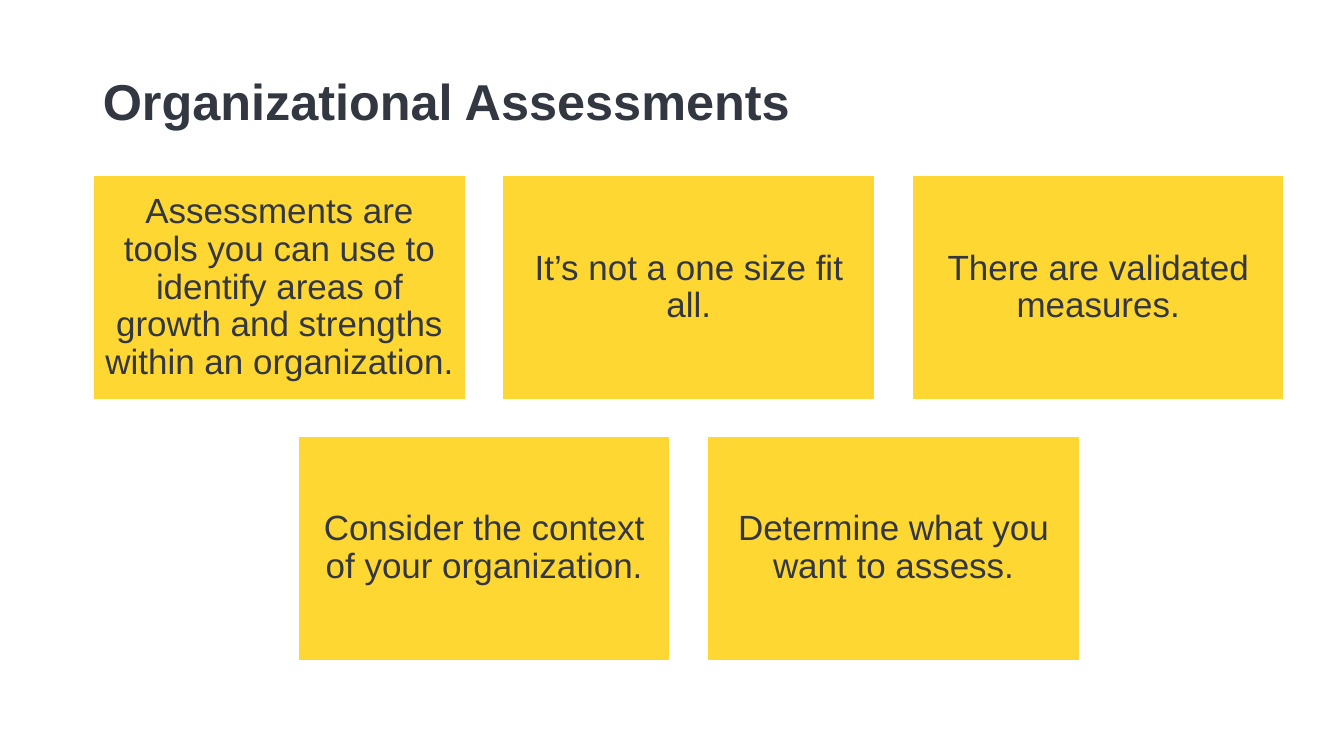
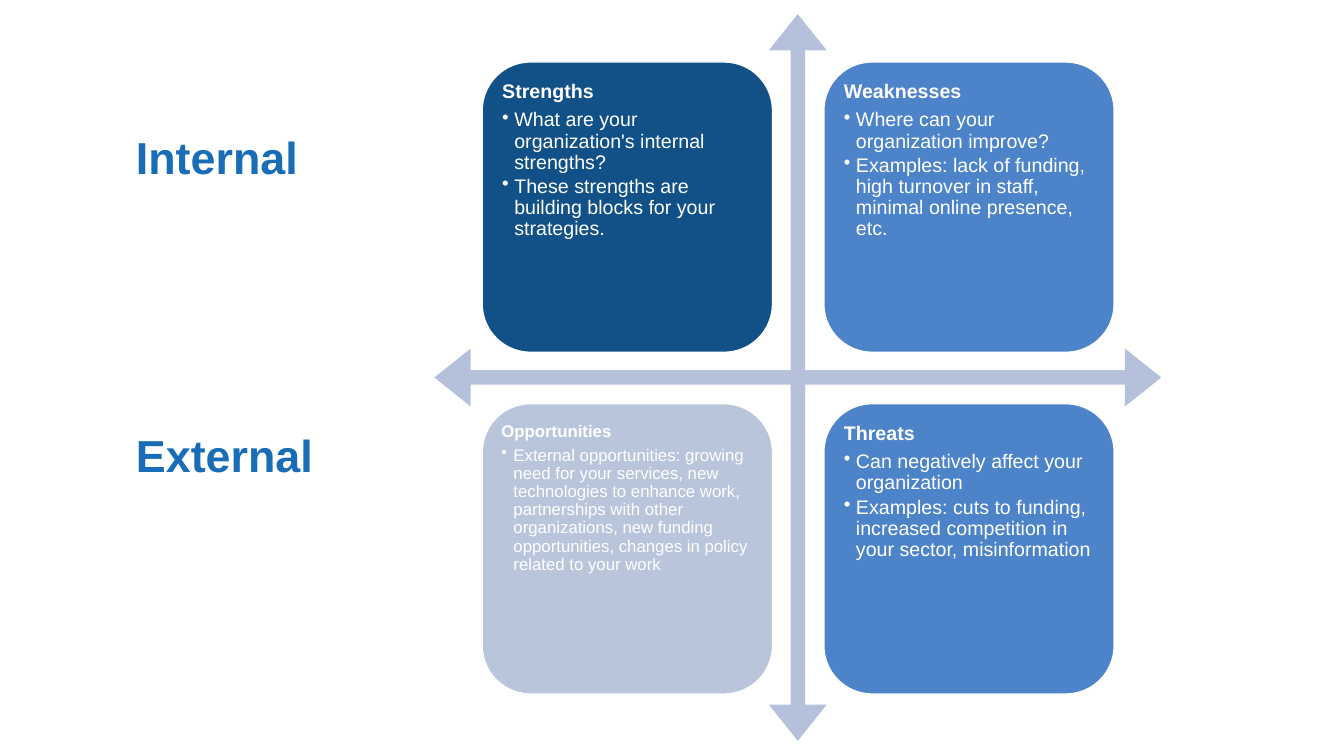
import dataclasses

import lxml.etree
import pptx
import pptx.dml.color
import pptx.enum.shapes
import pptx.enum.text
import pptx.oxml.ns
import pptx.util

Pt = pptx.util.Pt
Inches = pptx.util.Inches
Shape = pptx.enum.shapes.MSO_SHAPE
Align = pptx.enum.text.PP_ALIGN
Anchor = pptx.enum.text.MSO_ANCHOR


@dataclasses.dataclass(frozen=True)
class Theme:
    """Colours and type sizes of the deck."""
    font: str = "Arial"
    ink: str = "323741"
    white: str = "FFFFFF"
    gold: str = "FFD732"
    navy: str = "125187"
    blue: str = "4D84C9"
    pale: str = "B9C5DB"
    cross: str = "B5C1DB"
    label: str = "196DB6"
    title_size: int = 36
    label_size: int = 32
    card_size: int = 25
    quad_size: int = 14
    small_size: int = 12


class Deck:
    """Draws styled parts on the current slide, placed in percent of its size."""

    def __init__(self, theme):
        """Open an empty wide deck."""
        self.theme = theme
        self.file = pptx.Presentation()
        self.file.slide_width = Inches(13.33)
        self.file.slide_height = Inches(7.5)
        self.slide = None

    def area(self, left, top, width, height):
        """Turn percent shares into lengths."""
        wide, high = self.file.slide_width, self.file.slide_height
        return [int(share * side / 100) for share, side in
                zip((left, top, width, height), (wide, high, wide, high))]

    def start(self, title=None):
        """Begin a slide, with a title if one is given."""
        layout = self.file.slide_layouts[6 if title is None else 5]
        self.slide = self.file.slides.add_slide(layout)
        if title is None:
            return
        head = self.slide.shapes.title
        head.left, head.top, head.width, head.height = self.area(6.9, 4.1, 86.25, 19.3)
        frame = head.text_frame
        frame.text = title
        frame.auto_size = pptx.enum.text.MSO_AUTO_SIZE.NONE
        frame.vertical_anchor = Anchor.MIDDLE
        line = frame.paragraphs[0]
        line.alignment = Align.LEFT
        line.line_spacing = 0.9
        self.style(line, self.theme.title_size, self.theme.ink, True)

    def style(self, line, size, color, bold=False):
        """Set the font of one paragraph."""
        font = line.font
        font.name, font.size, font.bold = self.theme.font, Pt(size), bold
        font.color.rgb = pptx.dml.color.RGBColor.from_string(color)

    def shape(self, kind, area, fill, edge=None):
        """Add a flat filled shape."""
        shape = self.slide.shapes.add_shape(kind, *self.area(*area))
        shape.shadow.inherit = False
        shape.fill.solid()
        shape.fill.fore_color.rgb = pptx.dml.color.RGBColor.from_string(fill)
        if edge is None:
            shape.line.fill.background()
        else:
            shape.line.color.rgb = pptx.dml.color.RGBColor.from_string(edge)
            shape.line.width = Pt(1)
        return shape

    def panel(self, kind, area, fill, size, anchor):
        """Add an edged shape and return its text frame."""
        frame = self.shape(kind, area, fill, self.theme.white).text_frame
        frame.word_wrap = True
        frame.vertical_anchor = anchor
        inset = Pt(size * 0.3)
        frame.margin_left = frame.margin_right = inset
        frame.margin_top = frame.margin_bottom = inset
        return frame

    def space(self, line, size, share):
        """Set tight lines and a gap that scales with the type."""
        line.line_spacing = 0.9
        line.space_after = Pt(size * share)

    def card(self, area, text):
        """Add a gold card with centred text."""
        size = self.theme.card_size
        frame = self.panel(Shape.RECTANGLE, area, self.theme.gold, size, Anchor.MIDDLE)
        frame.text = text
        line = frame.paragraphs[0]
        line.alignment = Align.CENTER
        self.space(line, size, 0.35)
        self.style(line, size, self.theme.ink)

    def bullet(self, line):
        """Give a paragraph a hanging bullet."""
        props = line._p.get_or_add_pPr()
        props.set("marL", str(Inches(0.12)))
        props.set("indent", str(-Inches(0.12)))
        mark = lxml.etree.SubElement(props, pptx.oxml.ns.qn("a:buChar"))
        mark.set("char", "•")

    def quad(self, area, fill, size, head, points):
        """Add a rounded box with a heading and bullets."""
        frame = self.panel(Shape.ROUNDED_RECTANGLE, area, fill, size, Anchor.TOP)
        frame.text = "\n".join([head, *points])
        for rank, line in enumerate(frame.paragraphs):
            line.alignment = Align.LEFT
            if rank:
                line.level = 1
                self.bullet(line)
            self.space(line, size, 0.15 if rank else 0.35)
            self.style(line, size, self.theme.white, rank == 0)

    def cross(self, area):
        """Add the thin four-way arrow."""
        arrow = self.shape(Shape.QUAD_ARROW, area, self.theme.cross)
        for index, share in enumerate((0.02, 0.04, 0.05)):
            arrow.adjustments[index] = share

    def label(self, area, text):
        """Add a large row label."""
        frame = self.slide.shapes.add_textbox(*self.area(*area)).text_frame
        frame.word_wrap = True
        frame.text = text
        self.style(frame.paragraphs[0], self.theme.label_size, self.theme.label, True)


def cards(deck):
    """Build the slide of centred card rows."""
    deck.start("Organizational Assessments")
    rows = [
        ["Assessments are tools you can use to identify areas of growth and "
         "strengths within an organization.",
         "It’s not a one size fit all.",
         "There are validated measures."],
        ["Consider the context of your organization.",
         "Determine what you want to assess."],
    ]
    width, height, gap = 27.68, 29.6, 2.78
    for row, texts in enumerate(rows):
        count = len(texts)
        left = 51.25 - (count * width + (count - 1) * gap) / 2
        for col, text in enumerate(texts):
            deck.card((left + col * (width + gap), 23.25 + row * 34.5, width, height), text)


def quads(deck):
    """Build the slide of four boxes around a cross."""
    theme = deck.theme
    deck.start()
    deck.cross((32.32, 1.87, 54.08, 96.13))
    boxes = [
        (theme.navy, theme.quad_size, "Strengths",
         ["What are your organization's internal strengths?",
          "These strengths are building blocks for your strategies."]),
        (theme.blue, theme.quad_size, "Weaknesses",
         ["Where can your organization improve?",
          "Examples: lack of funding, high turnover in staff, minimal online "
          "presence, etc."]),
        (theme.pale, theme.small_size, "Opportunities",
         ["External opportunities: growing need for your services, new "
          "technologies to enhance work, partnerships with other organizations, "
          "new funding opportunities, changes in policy related to your work"]),
        (theme.blue, theme.quad_size, "Threats",
         ["Can negatively affect your organization",
          "Examples: cuts to funding, increased competition in your sector, "
          "misinformation"]),
    ]
    for index, box in enumerate(boxes):
        row, col = divmod(index, 2)
        deck.quad((35.88 + col * 25.42, 8.2 + row * 45.2, 21.6, 38.4), *box)
    for text, top, width in (("Internal", 16.53, 31.28), ("External", 55.87, 24.83)):
        deck.label((9.38, top, width, 8.53), text)


def main():
    """Build and save the deck."""
    deck = Deck(Theme())
    cards(deck)
    quads(deck)
    deck.file.save("out.pptx")


if __name__ == "__main__":
    main()
